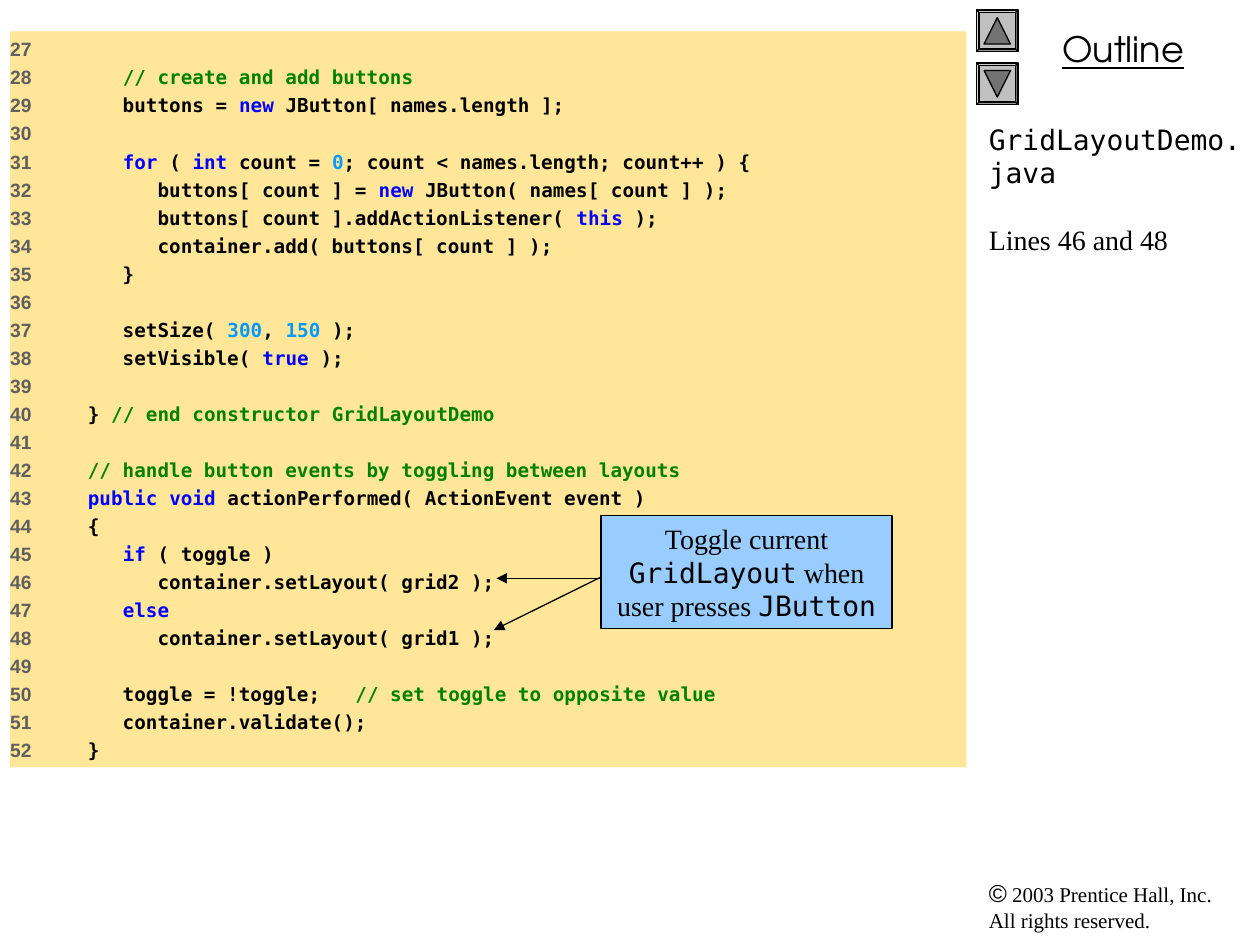
from itertools import groupby

from lxml import etree
from pptx import Presentation
from pptx import util as u
from pptx.dml import color
from pptx.enum import shapes, text
from pptx.oxml import ns

MONO, SERIF, SANS, TITLE = "DejaVu Sans Mono", "Times New Roman", "Arial", "TeX Gyre Adventor"
BLACK, NUMBER, COMMENT, KEYWORD, LITERAL = "000000", "5F5F5F", "008000", "0000FF", "0099FF"
KEYWORDS = {"new", "for", "int", "this", "true", "public", "void", "if", "else"}
FIRST_LINE = 27
CODE = """
      // create and add buttons
      buttons = new JButton[ names.length ];

      for ( int count = 0; count < names.length; count++ ) {
         buttons[ count ] = new JButton( names[ count ] );
         buttons[ count ].addActionListener( this );
         container.add( buttons[ count ] );
      }

      setSize( 300, 150 );
      setVisible( true );

   } // end constructor GridLayoutDemo

   // handle button events by toggling between layouts
   public void actionPerformed( ActionEvent event )
   {
      if ( toggle )
         container.setLayout( grid2 );
      else
         container.setLayout( grid1 );

      toggle = !toggle;   // set toggle to opposite value
      container.validate();
   }"""


def rgb(value):
    """Turn a hex string into a colour."""
    return color.RGBColor.from_string(value)


def add_run(paragraph, words, font, size, colour=BLACK, bold=False, underline=False):
    """Append one formatted run."""
    run = paragraph.add_run()
    run.text = words
    run.font.name, run.font.size = font, u.Pt(size)
    run.font.bold, run.font.underline = bold, underline
    run.font.color.rgb = rgb(colour)


def set_frame(shape, left_inset=0.1):
    """Prepare a wrapping, top-anchored text frame and return it."""
    frame = shape.text_frame
    frame.word_wrap = True
    frame.vertical_anchor = text.MSO_ANCHOR.TOP
    frame.margin_left, frame.margin_right = u.Inches(left_inset), u.Inches(0.1)
    frame.margin_top = frame.margin_bottom = u.Inches(0.05)
    return frame


def add_text(slide, left, top, width, height):
    """Add a text box and return its frame."""
    return set_frame(slide.shapes.add_textbox(*map(u.Inches, (left, top, width, height))))


def add_block(slide, kind, left, top, width, height, fill, line=None):
    """Add a filled preset shape, outlined if a line colour is given."""
    shape = slide.shapes.add_shape(kind, *map(u.Inches, (left, top, width, height)))
    shape.shadow.inherit = False
    shape.fill.solid()
    shape.fill.fore_color.rgb = rgb(fill)
    if line:
        shape.line.color.rgb = rgb(line)
        shape.line.width = u.Pt(0.75)
    else:
        shape.line.fill.background()
    return shape


def add_arrow(slide, start, end):
    """Add a thin straight arrow."""
    arrow = slide.shapes.add_connector(shapes.MSO_CONNECTOR.STRAIGHT, *map(u.Inches, start + end))
    arrow.line.color.rgb = rgb(BLACK)
    arrow.line.width = u.Pt(0.75)
    properties = arrow._element.spPr
    etree.SubElement(properties.find(ns.qn("a:ln")), ns.qn("a:tailEnd"), type="triangle")
    etree.SubElement(properties, ns.qn("a:effectLst"))


def add_button(slide, top, rotation):
    """Add a bevelled navigation button with a triangle."""
    bevel = add_block(slide, shapes.MSO_SHAPE.BEVEL, 7.75, top, 0.33, 0.33, "C0C0C0", BLACK)
    bevel.adjustments[0] = 0.06
    triangle = add_block(slide, shapes.MSO_SHAPE.ISOSCELES_TRIANGLE,
                         7.81, top + 0.06, 0.21, 0.21, "737373", BLACK)
    triangle.rotation = rotation


def word_colour(word):
    """Choose the syntax colour of a token."""
    if word in KEYWORDS:
        return KEYWORD
    return LITERAL if word.isdigit() else BLACK


def colour_code(line):
    """Split a code line into (text, colour) pieces."""
    code, slashes, comment = line.partition("//")
    words = ["".join(group) for _, group in groupby(code, str.isalnum)]
    pieces = [("".join(group), colour) for colour, group in groupby(words, word_colour)]
    return pieces + [(slashes + comment, COMMENT)] * bool(slashes)


def add_listing(slide):
    """Add the numbered code listing."""
    panel = add_block(slide, shapes.MSO_SHAPE.RECTANGLE, 0.08, 0.25, 7.59, 5.84, "FFE699")
    frame = set_frame(panel, 0)
    for index, line in enumerate(CODE.split("\n")):
        paragraph = frame.add_paragraph() if index else frame.paragraphs[0]
        paragraph.alignment = text.PP_ALIGN.LEFT
        if index:
            paragraph.space_before = u.Pt(2.8)
        gap = "    " if line else ""
        add_run(paragraph, f"{FIRST_LINE + index}{gap}", SANS, 11, NUMBER, bold=True)
        for words, colour in colour_code(line):
            add_run(paragraph, words, MONO, 11, colour, bold=True)


def add_sidebar(slide):
    """Add the outline heading, buttons, file name and copyright line."""
    heading = add_text(slide, 7.83, 0.17, 2.17, 0.44).paragraphs[0]
    heading.alignment = text.PP_ALIGN.CENTER
    add_run(heading, "Outline", TITLE, 20, underline=True)
    add_button(slide, 0.08, 0)
    add_button(slide, 0.5, 180)

    summary = add_text(slide, 7.75, 0.92, 2.25, 6)
    add_run(summary.paragraphs[0], "GridLayoutDemo.java", MONO, 16)
    lines = summary.add_paragraph()
    lines.space_before = u.Pt(19)
    add_run(lines, "Lines 46 and 48", SERIF, 16)

    rights = add_text(slide, 7.75, 6.92, 2.17, 0.54).paragraphs[0]
    add_run(rights, "©", SANS, 14)
    add_run(rights, " 2003 Prentice Hall, Inc.", SERIF, 12)
    rights.add_line_break()
    add_run(rights, "All rights reserved.", SERIF, 12)


def add_callout(slide):
    """Add the note with arrows to the two layout calls."""
    add_arrow(slide, (4.94, 4.59), (3.94, 4.59))
    note = add_block(slide, shapes.MSO_SHAPE.RECTANGLE, 4.77, 4.09, 2.31, 0.9, "99CCFF", BLACK)
    paragraph = set_frame(note).paragraphs[0]
    paragraph.alignment = text.PP_ALIGN.CENTER
    for words, font in (("Toggle current ", SERIF), ("GridLayout", MONO),
                        (" when user presses ", SERIF), ("JButton", MONO)):
        add_run(paragraph, words, font, 16)
    add_arrow(slide, (4.77, 4.58), (3.92, 5))


def main():
    """Build and save the slide."""
    presentation = Presentation()
    presentation.slide_width, presentation.slide_height = u.Inches(10), u.Inches(7.5)
    slide = presentation.slides.add_slide(presentation.slide_layouts[6])
    add_sidebar(slide)
    add_listing(slide)
    add_callout(slide)
    presentation.save("out.pptx")


if __name__ == "__main__":
    main()
